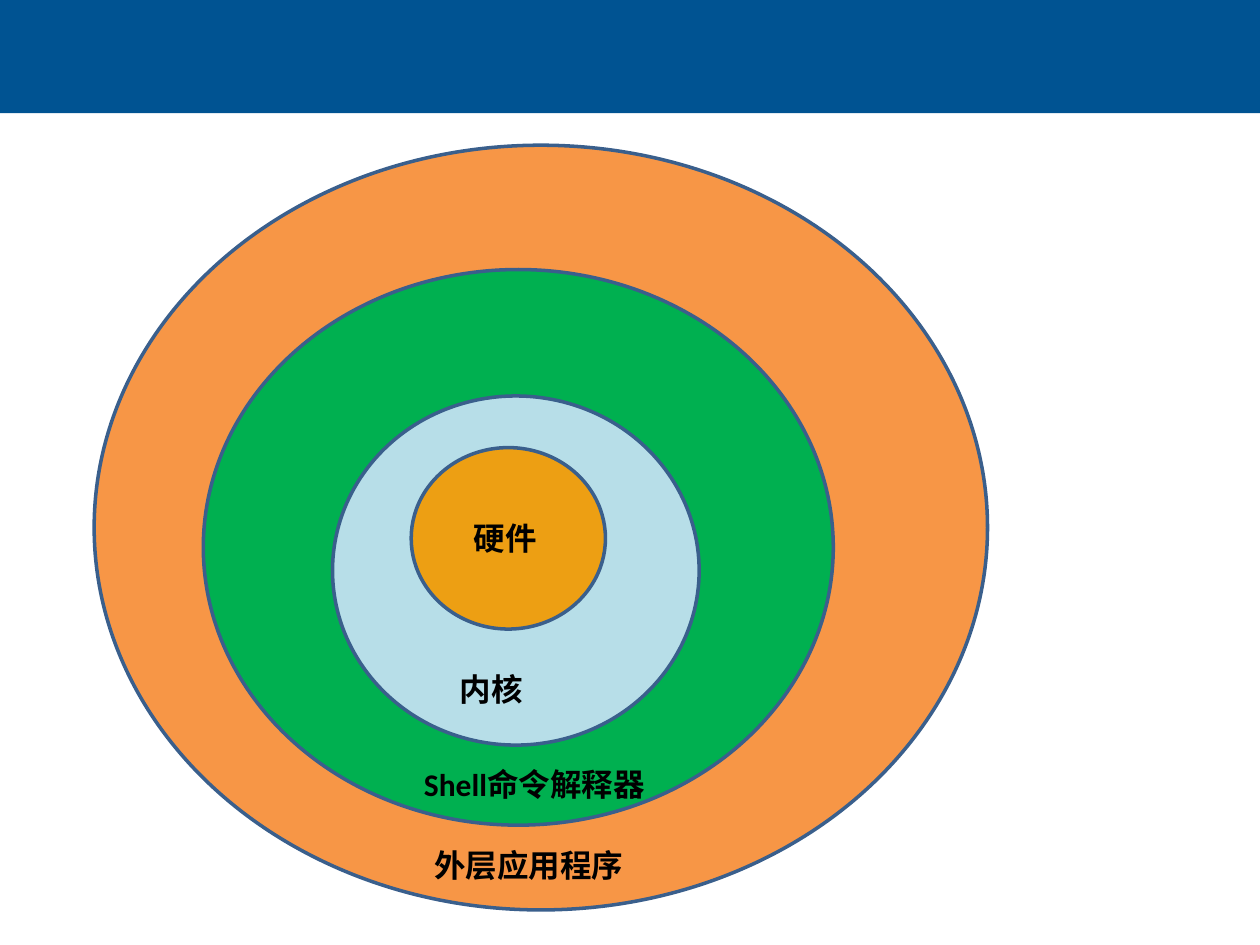
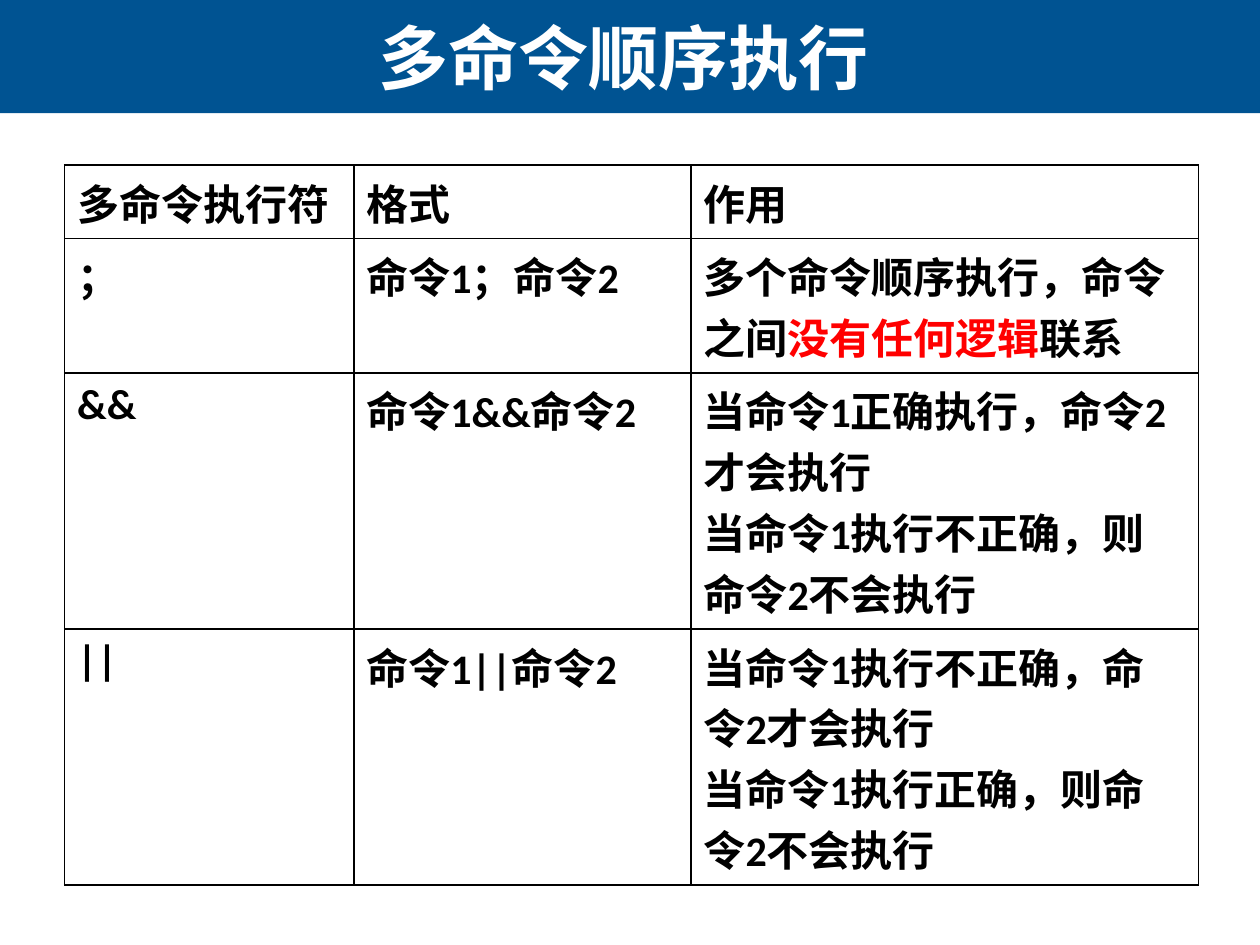
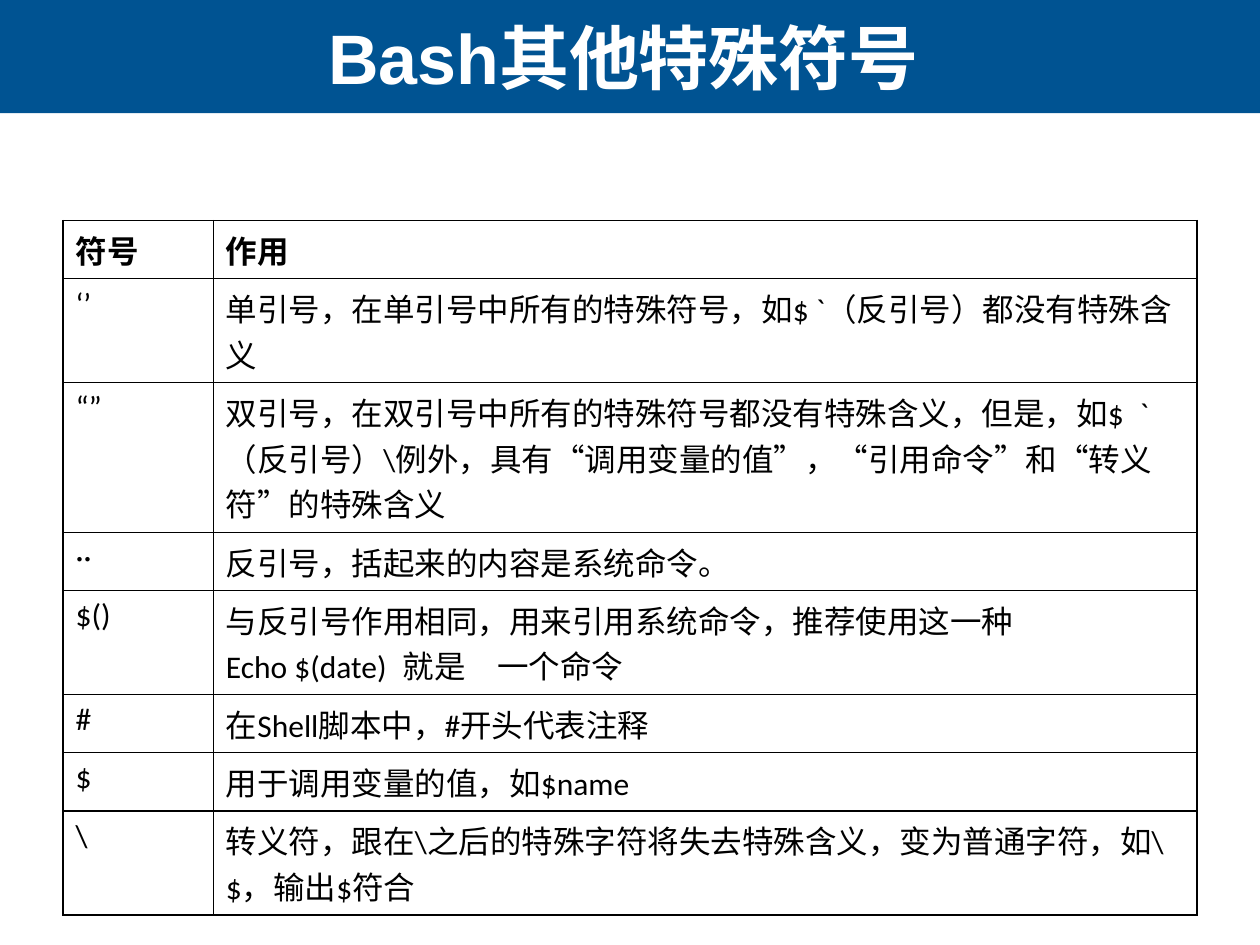
"""Build three slides on the shell: its layers, command chaining and special symbols."""
from dataclasses import dataclass

import lxml.etree
import pptx
import pptx.dml.color
import pptx.enum.lang
import pptx.enum.shapes
import pptx.enum.text
import pptx.oxml.ns
import pptx.util

Pt = pptx.util.Pt

PAGE_WIDTH, PAGE_HEIGHT = 720, 540
BAND_HEIGHT = 64.6
BAND_BLUE, RING_EDGE = "005392", "3A5F8C"
BLACK, WHITE, RED = "000000", "FFFFFF", "FF0000"
TITLE_FONT, BODY_FONT = "Arial", "Calibri"
LINE_PITCH = 1.45  # line height as a multiple of the text size
ROW_PADDING = 7.2  # cell margins above and below the text


@dataclass(frozen=True)
class Box:
    """A rectangle in points."""
    left: float
    top: float
    width: float
    height: float

    def lengths(self) -> tuple:
        """Return the four lengths for an add_ method."""
        return Pt(self.left), Pt(self.top), Pt(self.width), Pt(self.height)


@dataclass(frozen=True)
class Style:
    """The look of one paragraph."""
    size: float
    bold: bool = True
    name: str = BODY_FONT
    color: str = BLACK


@dataclass(frozen=True)
class Span:
    """A stretch of text with its own colour."""
    text: str
    color: str


@dataclass(frozen=True)
class Layer:
    """One ring of the system and the place of its label."""
    ring: Box
    fill: str
    label: str
    label_box: Box


@dataclass(frozen=True)
class Row:
    """A table row: the lines its text takes, and its cells.

    A cell is a list of paragraphs, and a paragraph a list of strings and spans.
    """
    lines: int
    cells: list


@dataclass(frozen=True)
class Grid:
    """A table: its corner, column widths, styles and rows."""
    left: float
    top: float
    columns: tuple
    header: Style
    body: Style
    rows: list


def rgb(color: str) -> pptx.dml.color.RGBColor:
    """Turn a hex string into a colour."""
    return pptx.dml.color.RGBColor.from_string(color)


def write(paragraph, spans: list, style: Style) -> None:
    """Fill a paragraph with strings and coloured spans."""
    font = paragraph.font
    font.name, font.size, font.bold = style.name, Pt(style.size), style.bold
    font.color.rgb = rgb(style.color)
    font.language_id = pptx.enum.lang.MSO_LANGUAGE_ID.SIMPLIFIED_CHINESE
    for span in spans:
        run = paragraph.add_run()
        if isinstance(span, Span):
            run.text = span.text
            run.font.color.rgb = rgb(span.color)
        else:
            run.text = span


def add_text(page, box: Box, text: str, style: Style):
    """Add a wrapping text box with one paragraph and return its frame."""
    frame = page.shapes.add_textbox(*box.lengths()).text_frame
    frame.word_wrap = True
    write(frame.paragraphs[0], [text], style)
    return frame


def add_filled(page, kind, box: Box, fill: str, edge: str = "") -> None:
    """Add a flat shape, with an outline if an edge colour is given."""
    shape = page.shapes.add_shape(kind, *box.lengths())
    shape.shadow.inherit = False
    shape.fill.solid()
    shape.fill.fore_color.rgb = rgb(fill)
    if edge:
        shape.line.color.rgb = rgb(edge)
        shape.line.width = Pt(2)
    else:
        shape.line.fill.background()


def add_page(deck, title: str = ""):
    """Add a page with the blue band and, if given, its title."""
    page = deck.slides.add_slide(deck.slide_layouts[6])
    band = Box(0, 0, PAGE_WIDTH, BAND_HEIGHT)
    add_filled(page, pptx.enum.shapes.MSO_SHAPE.RECTANGLE, band, BAND_BLUE)
    if title:
        style = Style(40, name=TITLE_FONT, color=WHITE)
        frame = add_text(page, Box(1, 0, 710.5, BAND_HEIGHT), title, style)
        frame.vertical_anchor = pptx.enum.text.MSO_ANCHOR.MIDDLE
        frame.paragraphs[0].alignment = pptx.enum.text.PP_ALIGN.CENTER
    return page


def add_layers(page, layers: list) -> None:
    """Draw the rings from the outside in, then their labels."""
    for layer in layers:
        add_filled(page, pptx.enum.shapes.MSO_SHAPE.OVAL, layer.ring, layer.fill, RING_EDGE)
    for layer in reversed(layers):
        frame = add_text(page, layer.label_box, layer.label, Style(18))
        frame.auto_size = pptx.enum.text.MSO_AUTO_SIZE.SHAPE_TO_FIT_TEXT


def add_borders(cell) -> None:
    """Give a cell thin black lines on its four sides."""
    qn = pptx.oxml.ns.qn
    properties = cell._tc.get_or_add_tcPr()
    for side in ("a:lnL", "a:lnR", "a:lnT", "a:lnB"):
        line = lxml.etree.SubElement(properties, qn(side), w=str(Pt(1)))
        fill = lxml.etree.SubElement(line, qn("a:solidFill"))
        lxml.etree.SubElement(fill, qn("a:srgbClr"), val=BLACK)


def fill_cell(cell, paragraphs: list, style: Style) -> None:
    """Rule a cell, clear its fill and write its paragraphs."""
    add_borders(cell)
    cell.fill.background()
    text = cell.text_frame
    for number, spans in enumerate(paragraphs):
        paragraph = text.add_paragraph() if number else text.paragraphs[0]
        write(paragraph, spans, style)


def add_grid(page, grid: Grid) -> None:
    """Draw a plain ruled table with rows as high as their text."""
    styles = [grid.header] + [grid.body] * (len(grid.rows) - 1)
    heights = [row.lines * LINE_PITCH * style.size + ROW_PADDING
               for row, style in zip(grid.rows, styles)]
    box = Box(grid.left, grid.top, sum(grid.columns), sum(heights))
    table = page.shapes.add_table(len(heights), len(grid.columns), *box.lengths()).table
    table.first_row = table.horz_banding = False
    for column, width in zip(table.columns, grid.columns):
        column.width = Pt(width)
    for line, height, row, style in zip(table.rows, heights, grid.rows, styles):
        line.height = Pt(height)
        for cell, paragraphs in zip(line.cells, row.cells):
            fill_cell(cell, paragraphs, style)


def plain(lines: int, *cells: str) -> Row:
    """Make a row of plain cells; a line break starts a new paragraph."""
    return Row(lines, [[[text] for text in cell.split("\n")] for cell in cells])


LAYERS = [
    Layer(Box(53.8, 83, 510.5, 437), "F79646", "外层应用程序", Box(241, 479.8, 164.2, 28.8)),
    Layer(Box(116.2, 154, 360, 317.5), "00B050", "Shell命令解释器", Box(235.2, 433.4, 165, 28.8)),
    Layer(Box(190, 226.3, 209.5, 199.5), "B7DEE8", "内核", Box(255.6, 379.4, 55.4, 28.8)),
    Layer(Box(235, 255.8, 111, 103.7), "ED9F13", "硬件", Box(263.5, 293, 73.4, 28.8)),
]

COMMANDS = Grid(
    36.9, 94.3, (165.3, 192.7, 290), Style(24), Style(24),
    [
        plain(1, "多命令执行符", "格式", "作用"),
        Row(2, [
            [["\uff1b"]],
            [["命令1\uff1b命令2"]],
            [["多个命令顺序执行\uff0c命令之间", Span("没有任何逻辑", RED), "联系"]],
        ]),
        plain(4, "&&", "命令1&&命令2",
              "当命令1正确执行\uff0c命令2才会执行\n当命令1执行不正确\uff0c则命令2不会执行"),
        plain(4, "||", "命令1||命令2",
              "当命令1执行不正确\uff0c命令2才会执行\n当命令1执行正确\uff0c则命令2不会执行"),
    ],
)

SYMBOLS = Grid(
    36, 126, (85.9, 562.1), Style(18), Style(18, bold=False),
    [
        plain(1, "符号", "作用"),
        plain(2, "\u2018\u2019",
              "单引号\uff0c在单引号中所有的特殊符号\uff0c如$ `\uff08反引号\uff09都没有特殊含义"),
        plain(3, "\u201c\u201d",
              "双引号\uff0c在双引号中所有的特殊符号都没有特殊含义\uff0c但是\uff0c如$\u2002`"
              "\uff08反引号\uff09\\例外\uff0c具有\u201c调用变量的值\u201d\uff0c"
              "\u201c引用命令\u201d和\u201c转义符\u201d的特殊含义"),
        plain(1, "··", "反引号\uff0c括起来的内容是系统命令。"),
        plain(2, "$()", "与反引号作用相同\uff0c用来引用系统命令\uff0c推荐使用这一种\n"
                        "Echo $(date)\u2002就是\u3000一个命令"),
        plain(1, "#", "在Shell脚本中\uff0c#开头代表注释"),
        plain(1, "$", "用于调用变量的值\uff0c如$name"),
        plain(2, "\\", "转义符\uff0c跟在\\之后的特殊字符将失去特殊含义\uff0c"
                       "变为普通字符\uff0c如\\$\uff0c输出$符合"),
    ],
)


def main() -> None:
    """Build and save the deck."""
    deck = pptx.Presentation()
    deck.slide_width, deck.slide_height = Pt(PAGE_WIDTH), Pt(PAGE_HEIGHT)
    add_layers(add_page(deck), LAYERS)
    add_grid(add_page(deck, "多命令顺序执行"), COMMANDS)
    add_grid(add_page(deck, "Bash其他特殊符号"), SYMBOLS)
    deck.save("out.pptx")


main()
